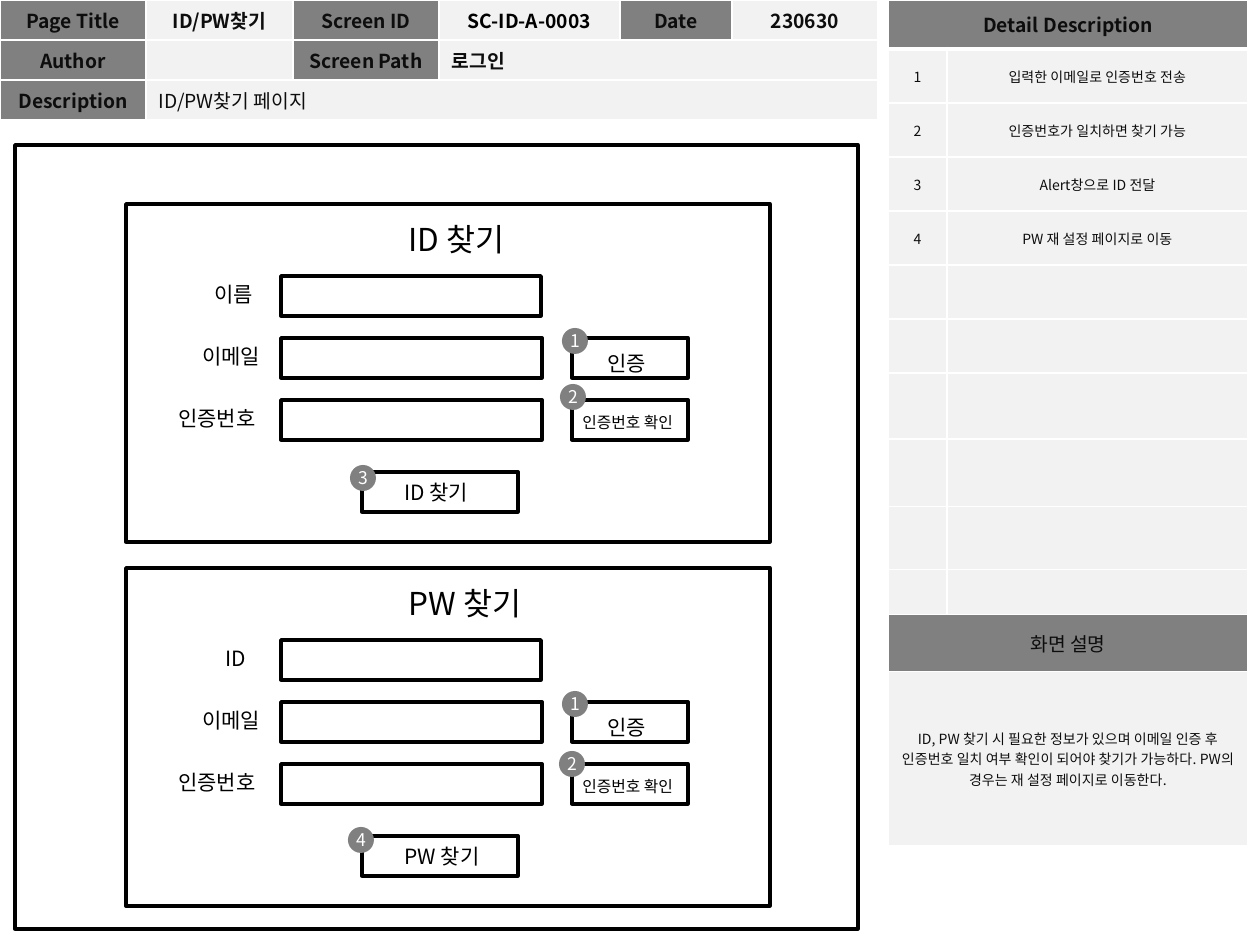
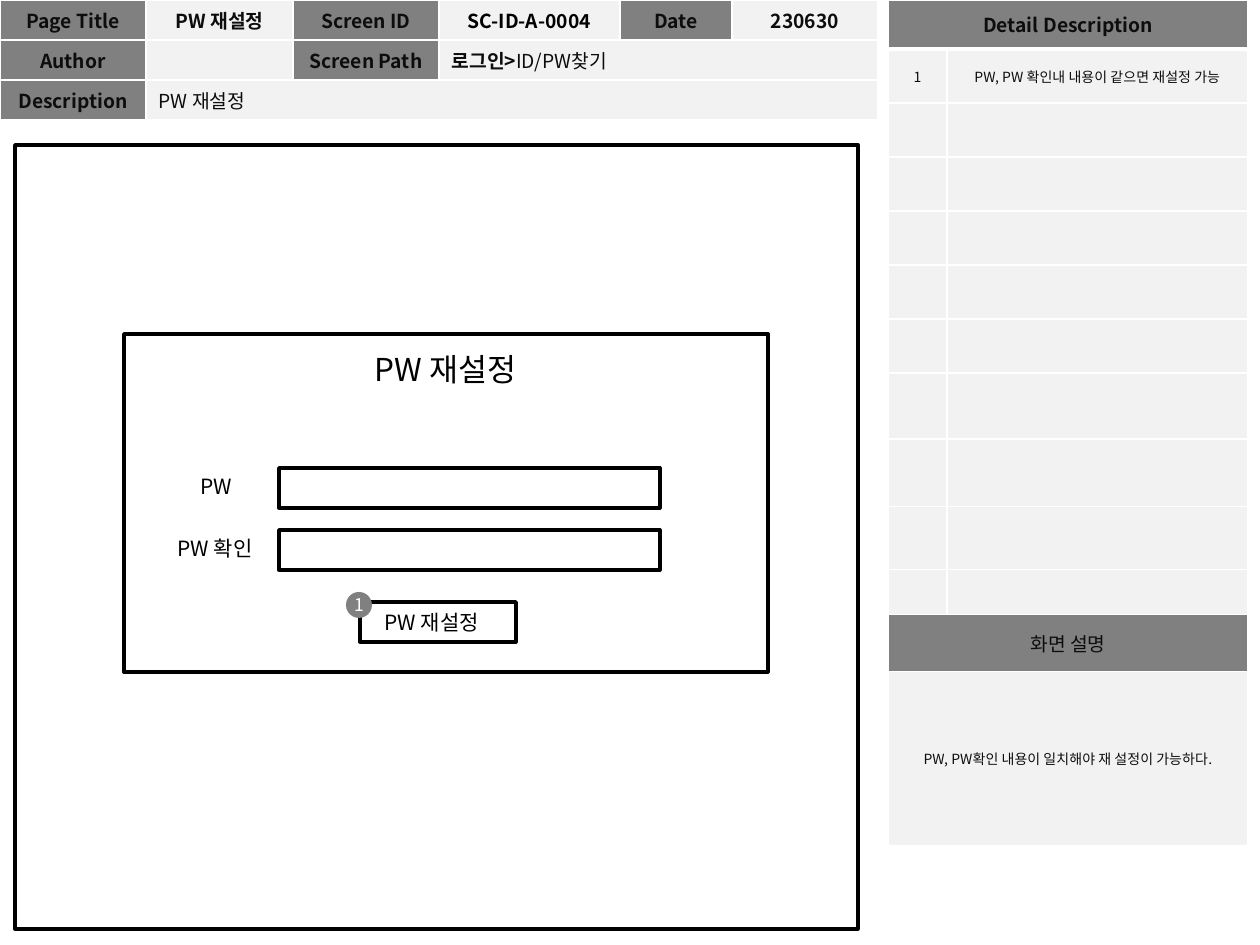
from lxml.etree import SubElement
from pptx import Presentation
from pptx.dml.color import RGBColor
from pptx.enum.shapes import MSO_SHAPE as SHAPE
from pptx.enum.text import MSO_ANCHOR as ANCHOR, MSO_AUTO_SIZE as AUTO_SIZE, PP_ALIGN as ALIGN
from pptx.oxml.ns import qn
from pptx.util import Pt

PX = 914400 / 126
FONT = "Noto Sans CJK KR"
BLACK = RGBColor(0x00, 0x00, 0x00)
INK = RGBColor(0x0D, 0x0D, 0x0D)
WHITE = RGBColor(0xFF, 0xFF, 0xFF)
GRAY = RGBColor(0x80, 0x80, 0x80)
PALE = RGBColor(0xF2, 0xF2, 0xF2)

# Shared grid
HEADER_COLUMNS = [146, 147, 146, 181, 112, 146]
HEADER_ROWS = [40, 40, 40]
DETAIL_COLUMNS = [59, 301]
DETAIL_ROWS = [49] + [54] * 6 + [66, 68, 63, 45, 57, 174]
DETAIL_LEFT = 888
SCREEN_FRAME = (15, 145, 843, 784)
PANEL_SIZE = (644, 338)
FIELD_LEFT, FIRST_FIELD_TOP, FIELD_STEP = 155, 72, 62
BOX_HEIGHT = 40
BADGE_SIZE = 26

# Fields: row, label, label left, width. Buttons: left, top, width.
# Captions: text, left, top, width, size. Badges: number, left, top.
# All of them are measured from the corner of their panel.
VERIFY_FIELDS = [(1, "이메일", 64, 261), (2, "인증번호", 40, 261)]
VERIFY_BUTTONS = [(446, 134, 116), (446, 196, 116), (236, 268, 156)]
VERIFY_CAPTIONS = [("인증", 469, 140, 126, 12), ("인증번호 확인", 444, 203, 126, 9)]

PAGES = [
    {
        "title": "ID/PW찾기", "screen": "SC-ID-A-0003",
        "path": [("로그인", True)], "description": "ID/PW찾기 페이지",
        "details": ["입력한 이메일로 인증번호 전송", "인증번호가 일치하면 찾기 가능",
                    "Alert창으로 ID 전달", "PW 재 설정 페이지로 이동"],
        "summary": "ID, PW 찾기 시 필요한 정보가 있으며 이메일 인증 후 인증번호 일치 여부 "
                   "확인이 되어야 찾기가 가능하다. PW의 경우는 재 설정 페이지로 이동한다.",
        "panels": [
            {"corner": (126, 204), "heading": ("ID 찾기", 270),
             "fields": [(0, "이름", 76, 260)] + VERIFY_FIELDS,
             "buttons": VERIFY_BUTTONS,
             "captions": VERIFY_CAPTIONS + [("ID 찾기", 266, 269, 170, 12)],
             "badges": [("1", 436, 124), ("2", 434, 180), ("3", 224, 261)]},
            {"corner": (126, 568), "heading": ("PW 찾기", 270),
             "fields": [(0, "ID", 87, 260)] + VERIFY_FIELDS,
             "buttons": VERIFY_BUTTONS,
             "captions": VERIFY_CAPTIONS + [("PW 찾기", 266, 269, 170, 12)],
             "badges": [("1", 436, 123), ("2", 433, 183), ("4", 222, 259)]},
        ],
    },
    {
        "title": "PW 재설정", "screen": "SC-ID-A-0004",
        "path": [("로그인>", True), ("ID/PW찾기", False)], "description": "PW 재설정",
        "details": ["PW, PW 확인내 내용이 같으면 재설정 가능"],
        "summary": "PW, PW확인 내용이 일치해야 재 설정이 가능하다.",
        "panels": [
            {"corner": (124, 334), "heading": ("PW 재설정", 238),
             "fields": [(1, "PW", 64, 381), (2, "PW 확인", 41, 381)],
             "buttons": [(236, 268, 156)],
             "captions": [("PW 재설정", 248, 269, 170, 12)],
             "badges": [("1", 222, 258)]},
        ],
    },
]


def emu(*lengths):
    return [round(length * PX) for length in lengths]


def write(frame, runs, size, color=BLACK, align=ALIGN.LEFT):
    paragraph = frame.paragraphs[0]
    paragraph.alignment = align
    for text, bold in runs:
        run = paragraph.add_run()
        run.text = text
        run.font.size, run.font.bold, run.font.name = Pt(size), bold, FONT
        run.font.color.rgb = color
        SubElement(run.font._element, qn("a:ea"), typeface=FONT)
    if not runs:
        paragraph._p.get_or_add_endParaRPr().set("sz", str(size * 100))


prs = Presentation()
prs.slide_width, prs.slide_height = emu(1260, 945)

for page in PAGES:
    slide = prs.slides.add_slide(prs.slide_layouts[5])
    shapes = slide.shapes

    # Header cells: row, column, last column, runs, fill, alignment
    header = [(0, 1, 1, [(page["title"], True)], PALE, ALIGN.CENTER),
              (0, 3, 3, [(page["screen"], True)], PALE, ALIGN.CENTER),
              (0, 5, 5, [("230630", True)], PALE, ALIGN.CENTER),
              (1, 1, 1, [], PALE, ALIGN.CENTER),
              (1, 3, 5, page["path"], PALE, ALIGN.LEFT),
              (2, 1, 5, [(page["description"], False)], PALE, ALIGN.LEFT)]
    for row, column, name in [(0, 0, "Page Title"), (0, 2, "Screen ID"), (0, 4, "Date"),
                              (1, 0, "Author"), (1, 2, "Screen Path"), (2, 0, "Description")]:
        header.append((row, column, column, [(name, True)], GRAY, ALIGN.CENTER))
    header = [cell + (11,) for cell in header]

    # Detail cells: the same, plus the text size
    last = len(DETAIL_ROWS) - 1
    detail = [(0, 0, 1, [("Detail Description", True)], GRAY, ALIGN.CENTER, 11),
              (last - 1, 0, 1, [("화면 설명", False)], GRAY, ALIGN.CENTER, 11),
              (last, 0, 1, [(page["summary"], False)], PALE, ALIGN.CENTER, 8)]
    for row in range(1, last - 1):
        filled = row <= len(page["details"])
        texts = [str(row), page["details"][row - 1]] if filled else []
        for column in range(2):
            runs = [(texts[column], False)] if filled else []
            detail.append((row, column, column, runs, PALE, ALIGN.CENTER, 8))

    # Both tables
    for left, columns, rows, cells in [(0, HEADER_COLUMNS, HEADER_ROWS, header),
                                       (DETAIL_LEFT, DETAIL_COLUMNS, DETAIL_ROWS, detail)]:
        table = shapes.add_table(len(rows), len(columns),
                                 *emu(left, 0, sum(columns), sum(rows))).table
        table.first_row = table.horz_banding = False
        for column, width in zip(table.columns, emu(*columns)):
            column.width = width
        for row, height in zip(table.rows, emu(*rows)):
            row.height = height
        for row, first, end, runs, fill, align, size in cells:
            cell = table.cell(row, first)
            if end > first:
                cell.merge(table.cell(row, end))
            cell.vertical_anchor = ANCHOR.MIDDLE
            color = BLACK if runs == [(page["screen"], True)] else INK
            write(cell.text_frame, runs, size, color, align)
            # White rules; the top header row has only a bottom one
            sides = "B" if left == 0 and row == 0 else "LRTB"
            thick_bottom = left == DETAIL_LEFT and row == 0
            for column in range(first, end + 1):
                part = table.cell(row, column)
                for side in sides:
                    weight = 3 if thick_bottom and side == "B" else 1
                    rule = SubElement(part._tc.get_or_add_tcPr(), qn("a:ln" + side),
                                      w=str(Pt(weight)))
                    SubElement(SubElement(rule, qn("a:solidFill")), qn("a:srgbClr"),
                               val=str(WHITE))
                part.fill.solid()
                part.fill.fore_color.rgb = fill

    # Wireframe parts in slide positions
    outlines = [SCREEN_FRAME]
    labels, badges = [], []
    for panel in page["panels"]:
        x, y = panel["corner"]
        outlines.append((x, y, *PANEL_SIZE))
        heading, heading_left = panel["heading"]
        labels.append((heading, x + heading_left, y + 10, 244, 18))
        for row, label, label_left, width in panel["fields"]:
            top = y + FIRST_FIELD_TOP + row * FIELD_STEP
            outlines.append((x + FIELD_LEFT, top, width, BOX_HEIGHT))
            labels.append((label, x + label_left, top - 1, 165, 12))
        for left, top, width in panel["buttons"]:
            outlines.append((x + left, y + top, width, BOX_HEIGHT))
        for caption, left, top, width, size in panel["captions"]:
            labels.append((caption, x + left, y + top, width, size))
        for number, left, top in panel["badges"]:
            badges.append((number, x + left, y + top))

    # Frames, fields and buttons
    for outline in outlines:
        box = shapes.add_shape(SHAPE.RECTANGLE, *emu(*outline))
        box.shadow.inherit = False
        box.fill.background()
        box.line.color.rgb = BLACK
        box.line.width = Pt(2)

    # Headings, field labels and captions; the first heading is the slide title
    for index, (text, left, top, width, size) in enumerate(labels):
        place = emu(left, top, width, size * 2 + 14)
        label = shapes.title if index == 0 else shapes.add_textbox(*place)
        label.left, label.top, label.width, label.height = place
        frame = label.text_frame
        frame.word_wrap = True
        frame.auto_size = AUTO_SIZE.SHAPE_TO_FIT_TEXT
        frame.vertical_anchor = ANCHOR.TOP
        write(frame, [(text, False)], size)

    # Numbered badges
    for number, left, top in badges:
        disc = shapes.add_shape(SHAPE.OVAL, *emu(left, top, BADGE_SIZE, BADGE_SIZE))
        disc.shadow.inherit = False
        disc.fill.solid()
        disc.fill.fore_color.rgb = GRAY
        disc.line.fill.background()
        digit = shapes.add_textbox(*emu(left - 4, top - 4, 35, 34))
        digit.text_frame.word_wrap = False
        digit.text_frame.auto_size = AUTO_SIZE.SHAPE_TO_FIT_TEXT
        write(digit.text_frame, [(number, False)], 10, WHITE)

prs.save("out.pptx")
